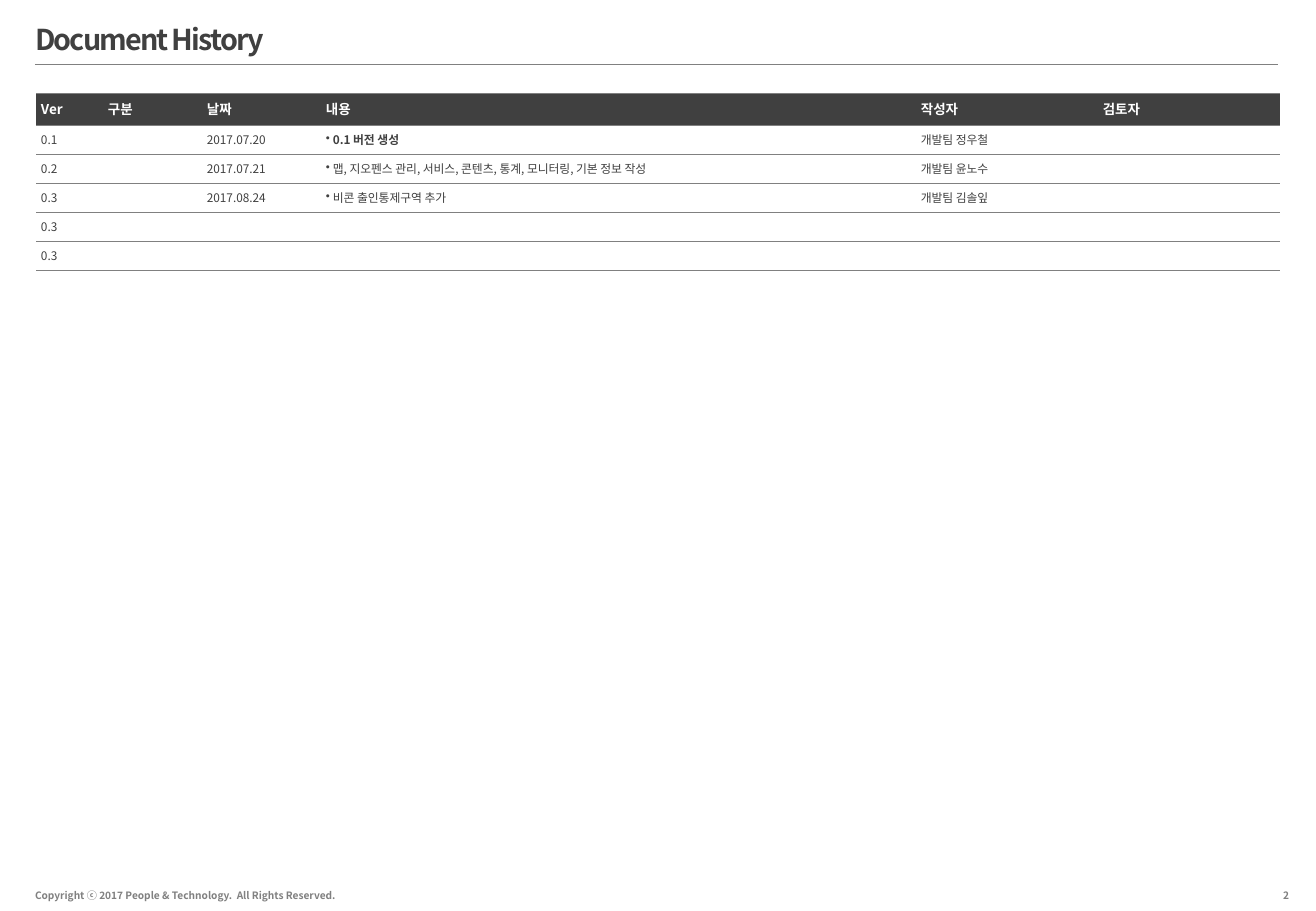
from dataclasses import dataclass

from lxml import etree
from pptx import Presentation
from pptx.dml.color import RGBColor
from pptx.enum.shapes import MSO_CONNECTOR
from pptx.enum.text import MSO_ANCHOR, MSO_AUTO_SIZE, PP_ALIGN
from pptx.oxml.ns import qn
from pptx.util import Emu, Pt

STRAIGHT = MSO_CONNECTOR.STRAIGHT
MIDDLE, TOP = MSO_ANCHOR.MIDDLE, MSO_ANCHOR.TOP
LEFT, RIGHT = PP_ALIGN.LEFT, PP_ALIGN.RIGHT
NO_FIT = MSO_AUTO_SIZE.NONE
SCALE = 7526


@dataclass(frozen=True)
class Style:
    size: int
    color: str
    bold: bool = False


@dataclass(frozen=True)
class Theme:
    face: str = "Noto Sans CJK KR"
    dark: str = "404040"
    gray: str = "808080"
    rule: float = 0.25
    title: Style = Style(17, "404040", True)
    head: Style = Style(8, "FFFFFF", True)
    body: Style = Style(7, "404040")
    strong: Style = Style(7, "404040", True)
    foot: Style = Style(6, "808080", True)


@dataclass(frozen=True)
class Label:
    text: str
    box: tuple[int, int, int, int]
    pad: tuple[int, int]
    align: PP_ALIGN
    anchor: MSO_ANCHOR


@dataclass(frozen=True)
class Entry:
    ver: str
    date: str = ""
    note: str = ""
    author: str = ""
    strong: bool = False


THEME = Theme()
HEADS = ("Ver", "구분", "날짜", "내용", "작성자", "검토자")
WIDTHS = (67, 99, 119, 595, 182, 182)
HEAD_H, ROW_H = 32, 29
NOTE_COL = 3
ENTRIES = (
    Entry("0.1", "2017.07.20", "0.1 버전 생성", "개발팀 정우철", True),
    Entry("0.2", "2017.07.21",
          "맵, 지오펜스 관리, 서비스, 콘텐츠, 통계, 모니터링, 기본 정보 작성",
          "개발팀 윤노수"),
    Entry("0.3", "2017.08.24", "비콘 출인통제구역 추가", "개발팀 김솔잎"),
    Entry("0.3"),
    Entry("0.3"),
)
LABELS = (
    Label("2", (1169, 882, 136, 27), (16, 0), RIGHT, MIDDLE),
    Label("Copyright ⓒ 2017 People & Technology.  All Rights Reserved.",
          (23, 885, 396, 24), (12, 4), LEFT, TOP),
)


def px(count: int) -> Emu:
    return Emu(count * SCALE)


def set_font(para, style: Style) -> None:
    font = para.font
    font.size = Pt(style.size)
    font.bold = style.bold
    font.color.rgb = RGBColor.from_string(style.color)
    font.name = THEME.face
    etree.SubElement(font._element if hasattr(font, "_element") else font._rPr,
                     qn("a:ea"), typeface=THEME.face)


def set_pads(frame, side: int, edge: int) -> None:
    frame.margin_left = frame.margin_right = px(side)
    frame.margin_top = frame.margin_bottom = px(edge)


def add_title(slide, text: str) -> None:
    title = slide.shapes.title
    title.left, title.top, title.width, title.height = map(px, (35, 16, 1185, 47))
    frame = title.text_frame
    frame.text = text
    frame.auto_size = NO_FIT
    frame.vertical_anchor = MIDDLE
    set_pads(frame, 0, 0)
    para = frame.paragraphs[0]
    para.alignment = LEFT
    set_font(para, THEME.title)
    para.runs[0].font._rPr.set("spc", "-110")


def add_rule(slide) -> None:
    line = slide.shapes.add_connector(STRAIGHT, px(35), px(64), px(1278), px(64))
    line.line.color.rgb = RGBColor.from_string(THEME.gray)
    line.line.width = Pt(THEME.rule)
    etree.SubElement(line._element.spPr, qn("a:effectLst"))


def add_label(slide, label: Label) -> None:
    frame = slide.shapes.add_textbox(*map(px, label.box)).text_frame
    frame.word_wrap = True
    frame.vertical_anchor = label.anchor
    set_pads(frame, *label.pad)
    frame.text = label.text
    para = frame.paragraphs[0]
    para.alignment = label.align
    set_font(para, THEME.foot)


def add_edges(cell) -> None:
    props = cell._tc.get_or_add_tcPr()
    for side in ("lnL", "lnR"):
        edge = etree.SubElement(props, qn(f"a:{side}"))
        etree.SubElement(edge, qn("a:noFill"))
    for side in ("lnT", "lnB"):
        edge = etree.SubElement(props, qn(f"a:{side}"), w=str(Pt(THEME.rule)))
        fill = etree.SubElement(edge, qn("a:solidFill"))
        etree.SubElement(fill, qn("a:srgbClr"), val=THEME.gray)


def add_bullet(para) -> None:
    props = para._p.get_or_add_pPr()
    props.set("marL", str(px(7)))
    props.set("indent", str(px(-7)))
    etree.SubElement(props, qn("a:buChar"), char="•")


def fill_cell(cell, text: str, style: Style, bullet: bool) -> None:
    cell.margin_left, cell.margin_right = px(5), px(13)
    cell.margin_top = cell.margin_bottom = px(6)
    cell.vertical_anchor = MIDDLE
    add_edges(cell)
    para = cell.text_frame.paragraphs[0]
    if text:
        para.text = text
    if bullet:
        add_bullet(para)
    set_font(para, style)
    if not text:
        etree.SubElement(para._p, qn("a:endParaRPr"), sz=str(style.size * 100))


def add_history(slide) -> None:
    high = HEAD_H + ROW_H * len(ENTRIES)
    table = slide.shapes.add_table(
        len(ENTRIES) + 1, len(HEADS), px(36), px(93), px(sum(WIDTHS)), px(high)).table
    table.horz_banding = False
    for col, width in zip(table.columns, WIDTHS):
        col.width = px(width)
    for row in table.rows:
        row.height = px(ROW_H)
    table.rows[0].height = px(HEAD_H)
    for col, text in enumerate(HEADS):
        cell = table.cell(0, col)
        fill_cell(cell, text, THEME.head, False)
        cell.fill.solid()
        cell.fill.fore_color.rgb = RGBColor.from_string(THEME.dark)
    for row, item in enumerate(ENTRIES, 1):
        texts = (item.ver, "", item.date, item.note, item.author, "")
        for col, text in enumerate(texts):
            note = col == NOTE_COL and bool(text)
            style = THEME.strong if note and item.strong else THEME.body
            cell = table.cell(row, col)
            fill_cell(cell, text, style, note)
            cell.fill.background()


def main() -> None:
    deck = Presentation()
    deck.slide_width, deck.slide_height = px(1316), px(911)
    slide = deck.slides.add_slide(deck.slide_layouts[5])
    add_rule(slide)
    for label in LABELS:
        add_label(slide, label)
    add_title(slide, "Document History")
    add_history(slide)
    deck.save("out.pptx")


if __name__ == "__main__":
    main()
